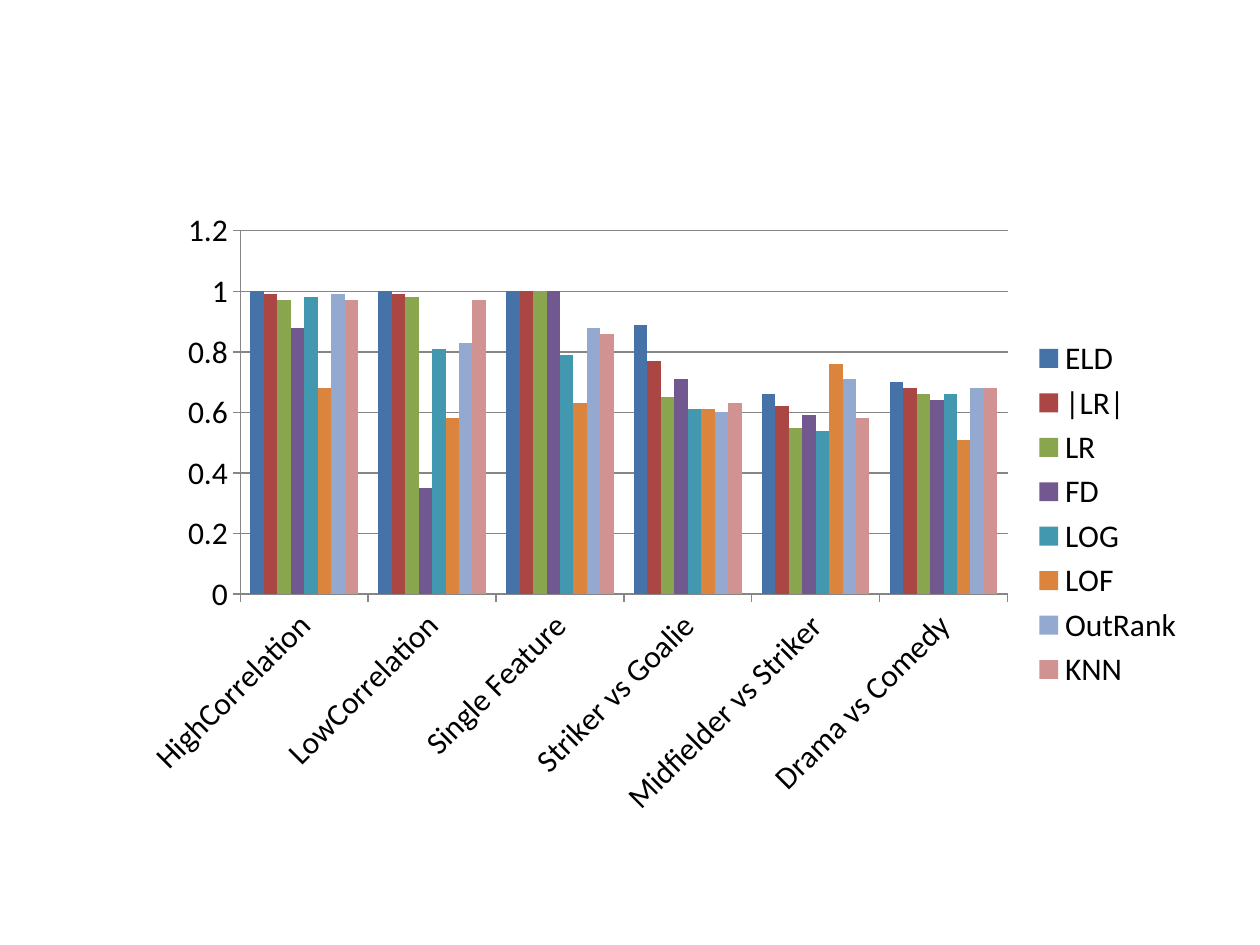
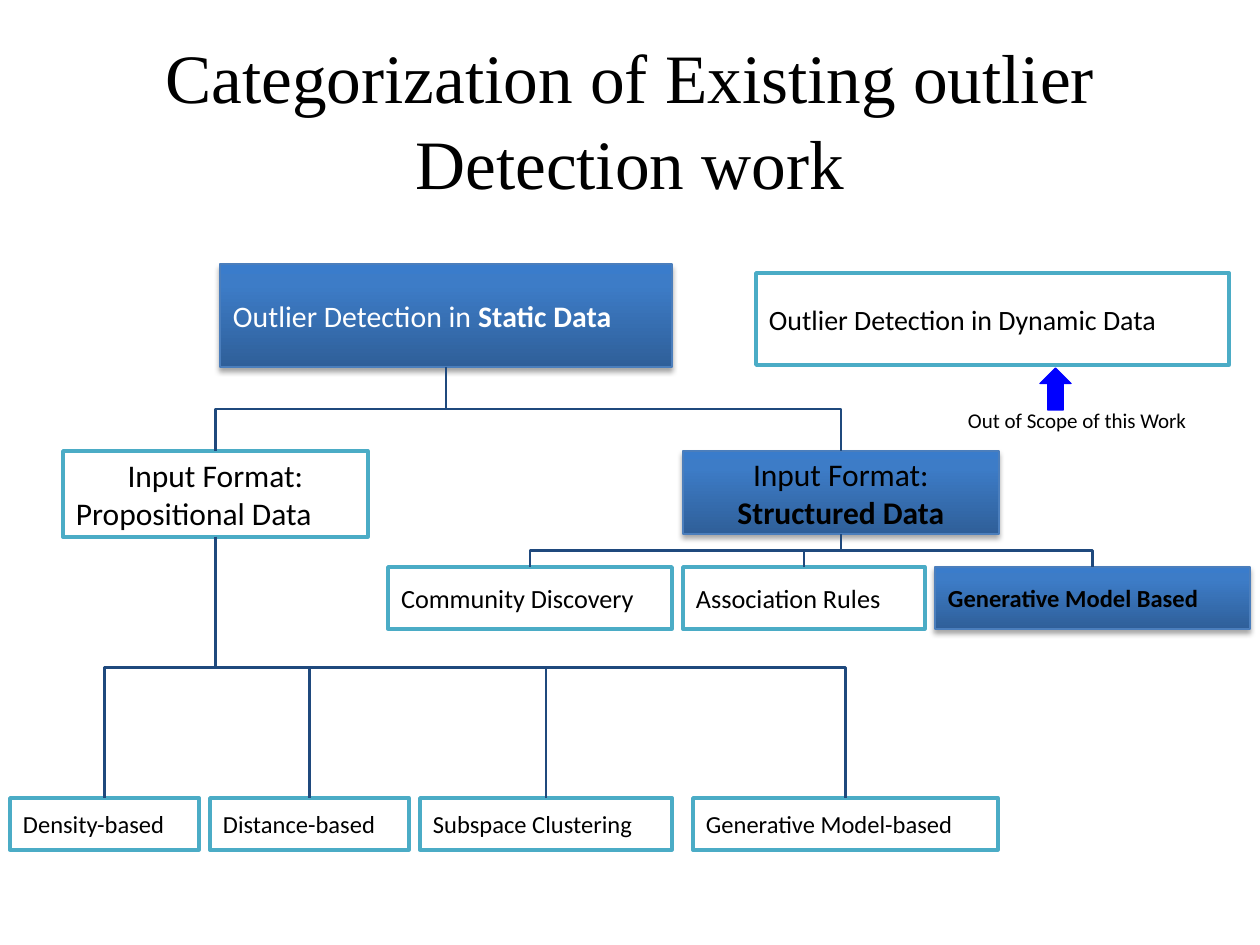
"""Build two slides: an outlier detection result chart and a categorization tree."""
import pptx
import pptx.chart.data
import pptx.dml.color
import pptx.enum.chart
import pptx.enum.shapes
import pptx.enum.text
import pptx.oxml
import pptx.oxml.ns
import pptx.util

RGBColor = pptx.dml.color.RGBColor
BLACK = RGBColor(0x00, 0x00, 0x00)
WHITE = RGBColor(0xFF, 0xFF, 0xFF)
BLUE = RGBColor(0x00, 0x00, 0xFF)
TEAL = RGBColor(0x4B, 0xAC, 0xC6)
STEEL = RGBColor(0x4B, 0x7E, 0xBC)
NAVY = RGBColor(0x1F, 0x49, 0x7D)
GRAY = RGBColor(0x86, 0x86, 0x86)
BODY_FONT = "Calibri"
TITLE_FONT = "Times New Roman"
INSET = 13
LEFT = pptx.enum.text.PP_ALIGN.LEFT
CENTER = pptx.enum.text.PP_ALIGN.CENTER
NAMESPACE = pptx.oxml.ns.nsdecls("a")
GRADIENT = (
    f'<a:gradFill {NAMESPACE} rotWithShape="1"><a:gsLst>'
    '<a:gs pos="0"><a:srgbClr val="2F5F99"/></a:gs>'
    '<a:gs pos="80000"><a:srgbClr val="3D7CC7"/></a:gs>'
    '<a:gs pos="100000"><a:srgbClr val="3A7CCB"/></a:gs>'
    '</a:gsLst><a:lin ang="16200000" scaled="0"/></a:gradFill>'
)
SHADOW = (
    f'<a:outerShdw {NAMESPACE} blurRad="39370" dist="22860" dir="5400000" rotWithShape="0">'
    '<a:srgbClr val="000000"><a:alpha val="35000"/></a:srgbClr></a:outerShdw>'
)


def px(*lengths):
    """Turn pixel lengths into EMU."""
    return [pptx.util.Emu(round(length * 914400 / 126)) for length in lengths]


def write_text(shape, paragraphs, size, color):
    """Fill a shape with paragraphs given as (alignment, [(text, bold), ...])."""
    frame = shape.text_frame
    frame.word_wrap = True
    frame.margin_left, frame.margin_top, frame.margin_right, frame.margin_bottom = px(*[INSET] * 4)
    for index, (alignment, runs) in enumerate(paragraphs):
        paragraph = frame.paragraphs[0] if index == 0 else frame.add_paragraph()
        paragraph.alignment = alignment
        paragraph.font.name = BODY_FONT
        paragraph.font.size = pptx.util.Pt(size)
        paragraph.font.color.rgb = color
        for text, bold in runs:
            run = paragraph.add_run()
            run.text = text
            if bold:
                run.font.bold = True


presentation = pptx.Presentation()
presentation.slide_width, presentation.slide_height = px(1260, 945)

slide = presentation.slides.add_slide(presentation.slide_layouts[6])
chart_data = pptx.chart.data.CategoryChartData()
chart_data.categories = [
    "HighCorrelation", "LowCorrelation", "Single Feature",
    "Striker vs Goalie", "Midfielder vs Striker", "Drama vs Comedy",
]
methods = [
    ("ELD", "4572A7", (1, 1, 1, 0.89, 0.66, 0.7)),
    ("|LR|", "AA4643", (0.99, 0.99, 1, 0.77, 0.62, 0.68)),
    ("LR", "89A54E", (0.97, 0.98, 1, 0.65, 0.55, 0.66)),
    ("FD", "71588F", (0.88, 0.35, 1, 0.71, 0.59, 0.64)),
    ("LOG", "4198AF", (0.98, 0.81, 0.79, 0.61, 0.54, 0.66)),
    ("LOF", "DB843D", (0.68, 0.58, 0.63, 0.61, 0.76, 0.51)),
    ("OutRank", "93A9CF", (0.99, 0.83, 0.88, 0.6, 0.71, 0.68)),
    ("KNN", "D19392", (0.97, 0.97, 0.86, 0.63, 0.58, 0.68)),
]
for name, _, values in methods:
    chart_data.add_series(name, values)
chart = slide.shapes.add_chart(
    pptx.enum.chart.XL_CHART_TYPE.COLUMN_CLUSTERED, *px(126, 199, 1071, 630), chart_data
).chart
chart.has_title = False
chart.font.name = BODY_FONT
chart.font.size = pptx.util.Pt(18)
chart.font.color.rgb = BLACK
chart.has_legend = True
chart.legend.position = pptx.enum.chart.XL_LEGEND_POSITION.RIGHT
chart.legend.include_in_layout = False
plot = chart.plots[0]
plot.vary_by_categories = False
plot.gap_width = 150
for series, (_, color, _) in zip(plot.series, methods):
    series.format.fill.solid()
    series.format.fill.fore_color.rgb = RGBColor.from_string(color)
chart.value_axis.has_major_gridlines = True
chart.value_axis.minimum_scale = 0
chart.value_axis.maximum_scale = 1.2
chart.value_axis.major_unit = 0.2
chart.value_axis.major_gridlines.format.line.color.rgb = GRAY
for axis in (chart.category_axis, chart.value_axis):
    axis.major_tick_mark = pptx.enum.chart.XL_TICK_MARK.OUTSIDE
    axis.format.line.color.rgb = GRAY
    axis.tick_labels.font.name = BODY_FONT
    axis.tick_labels.font.size = pptx.util.Pt(18)
    axis.tick_labels.font.color.rgb = BLACK
label_body = chart.category_axis._element.find(".//" + pptx.oxml.ns.qn("a:bodyPr"))
label_body.set("rot", "-2700000")

slide = presentation.slides.add_slide(presentation.slide_layouts[5])
title = slide.shapes.title
title.left, title.top, title.width, title.height = px(63, 38, 1134, 158)
title.text_frame.text = "Categorization of Existing outlier Detection work"
title.text_frame.auto_size = pptx.enum.text.MSO_AUTO_SIZE.NONE
title.text_frame.vertical_anchor = pptx.enum.text.MSO_ANCHOR.MIDDLE
paragraph = title.text_frame.paragraphs[0]
paragraph.alignment = CENTER
paragraph.line_spacing = 1.04
paragraph.font.name = TITLE_FONT
paragraph.font.size = pptx.util.Pt(39.6)
paragraph.font.color.rgb = BLACK

categories = [
    ("static", (220, 264, 452, 103), "gradient", 17, WHITE,
     [(LEFT, [("Outlier Detection in ", False), ("Static Data", True)])]),
    ("dynamic", (756, 273, 473, 92), "outline", 16, BLACK,
     [(LEFT, [("Outlier Detection in Dynamic Data", False)])]),
    ("propositional", (63, 451, 305, 86), "outline", 18, BLACK,
     [(CENTER, [("Input Format:", False)]), (LEFT, [("Propositional Data", False)])]),
    ("structured", (683, 451, 316, 83), "gradient", 18, BLACK,
     [(CENTER, [("Input Format:", False)]), (CENTER, [("Structured Data", True)])]),
    ("model", (935, 567, 315, 62), "gradient", 14, BLACK,
     [(LEFT, [("Generative Model Based", True)])]),
]
leaf_rows = [
    (567, 62, 15, [("Community Discovery", 388, 284), ("Association Rules", 683, 242)]),
    (798, 52, 14, [("Density-based", 10, 189), ("Distance-based", 210, 199),
                   ("Subspace Clustering", 420, 252), ("Generative Model-based", 693, 305)]),
]
for top, height, size, leaves in leaf_rows:
    for text, left, width in leaves:
        categories.append((text, (left, top, width, height), "white", size, BLACK,
                           [(LEFT, [(text, False)])]))

boxes = {}
for name, place, style, size, color, paragraphs in categories:
    box = slide.shapes.add_shape(pptx.enum.shapes.MSO_SHAPE.RECTANGLE, *px(*place))
    box.shadow.inherit = False
    properties = box._element.spPr
    if style == "gradient":
        properties.insert(2, pptx.oxml.parse_xml(GRADIENT))
        properties.find(pptx.oxml.ns.qn("a:effectLst")).append(pptx.oxml.parse_xml(SHADOW))
    elif style == "white":
        box.fill.solid()
        box.fill.fore_color.rgb = WHITE
    else:
        box.fill.background()
    box.line.color.rgb = STEEL if style == "gradient" else TEAL
    box.line.width = pptx.util.Pt(0.75 if style == "gradient" else 2)
    box.text_frame.vertical_anchor = pptx.enum.text.MSO_ANCHOR.MIDDLE
    write_text(box, paragraphs, size, color)
    boxes[name] = box

branches = {
    "static": ["propositional", "structured"],
    "structured": ["Community Discovery", "Association Rules", "model"],
    "propositional": [text for text, _, _ in leaf_rows[1][3]],
}
for parent_name, child_names in branches.items():
    parent = boxes[parent_name]
    start_x = parent.left + parent.width // 2
    start_y = parent.top + parent.height
    for child_name in child_names:
        child = boxes[child_name]
        end_x, end_y = child.left + child.width // 2, child.top
        connector = slide.shapes.add_connector(
            pptx.enum.shapes.MSO_CONNECTOR.ELBOW, start_x, start_y, end_x, end_y)
        connector.begin_connect(parent, 2)
        connector.end_connect(child, 0)
        drop, span = end_y - start_y, abs(end_x - start_x)
        connector.left = (start_x + end_x - drop) // 2
        connector.top = (start_y + end_y - span) // 2
        connector.width, connector.height = drop, span
        goes_right = end_x > start_x
        transform = connector._element.spPr.find(pptx.oxml.ns.qn("a:xfrm"))
        transform.set("rot", "16200000" if goes_right else "5400000")
        transform.set("flipH", "1" if goes_right else "0")
        connector.line.color.rgb = NAVY
        connector.line.width = pptx.util.Pt(1.5)
        connector._element.spPr.append(pptx.oxml.parse_xml(f"<a:effectLst {NAMESPACE}/>"))

scope_arrow = slide.shapes.add_shape(pptx.enum.shapes.MSO_SHAPE.UP_ARROW, *px(1040, 368, 31, 42))
scope_arrow.shadow.inherit = False
scope_arrow.fill.solid()
scope_arrow.fill.fore_color.rgb = BLUE
scope_arrow.line.color.rgb = BLUE
scope_arrow.line.width = pptx.util.Pt(0.75)
scope_label = slide.shapes.add_textbox(*px(955, 397, 300, 23))
write_text(scope_label, [(LEFT, [("Out of Scope of this Work", False)])], 12, BLACK)

presentation.save("out.pptx")
